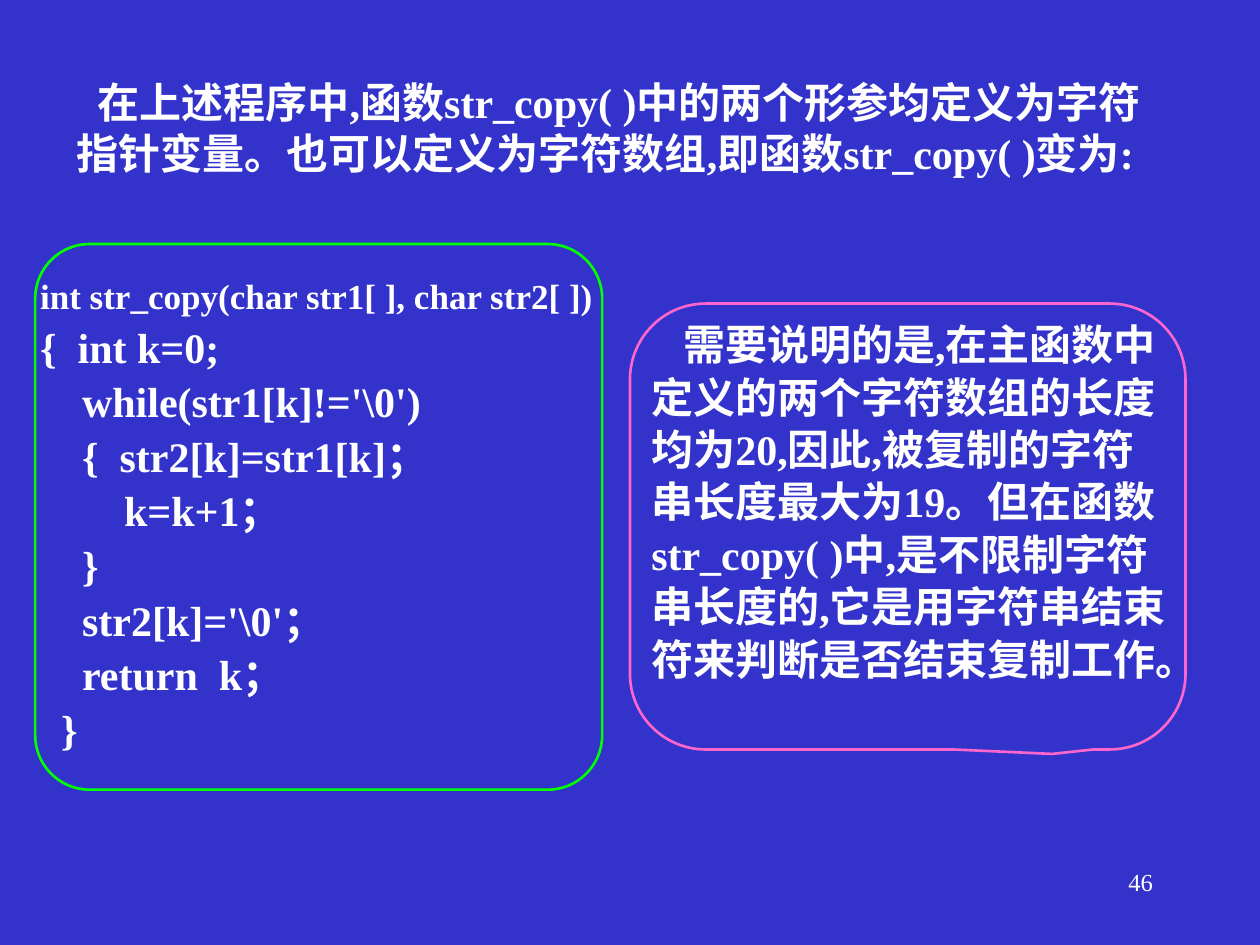
from dataclasses import dataclass

from pptx import Presentation
from pptx.dml.color import RGBColor
from pptx.enum.shapes import MSO_SHAPE as Shape
from pptx.enum.text import MSO_AUTO_SIZE as AutoSize, PP_ALIGN as Align
from pptx.util import Cm, Pt


@dataclass(frozen=True)
class Theme:
    background: RGBColor = RGBColor(0x33, 0x33, 0xCC)
    text: RGBColor = RGBColor(0xFF, 0xFF, 0xFF)
    code_frame: RGBColor = RGBColor(0x00, 0xFF, 0x00)
    note_frame: RGBColor = RGBColor(0xFF, 0x66, 0xCC)
    font: str = "Times New Roman"
    body: Pt = Pt(24)
    signature: Pt = Pt(20)
    page: Pt = Pt(14)
    frame_width: Pt = Pt(1.5)
    paragraph_gap: Pt = Pt(7.2)


theme = Theme()


def add_text(box, lines, bold=True, spacing=None, indent=None, tight=True):
    """Write (text, size) lines into a text box, one paragraph each."""
    left, top, width, height = map(Cm, box)
    frame = slide.shapes.add_textbox(left, top, width, height).text_frame
    frame.word_wrap = True
    if tight:
        frame.auto_size = AutoSize.SHAPE_TO_FIT_TEXT
        frame.margin_left = frame.margin_right = Cm(0.1)
        frame.margin_top = frame.margin_bottom = Cm(0)
    for number, (text, size) in enumerate(lines):
        paragraph = frame.add_paragraph() if number else frame.paragraphs[0]
        if number:
            paragraph.space_before = theme.paragraph_gap
        if spacing:
            paragraph.line_spacing = spacing
        if indent:
            paragraph._p.get_or_add_pPr().set("indent", str(indent))
        run = paragraph.add_run()
        run.text = text
        run.font.name = theme.font
        run.font.size = size
        run.font.bold = bold
        run.font.color.rgb = theme.text
    return frame


def add_frame(kind, box, color, adjustments):
    """Draw an unfilled outline around a block of text."""
    outline = slide.shapes.add_shape(kind, *map(Cm, box))
    outline.shadow.inherit = False
    outline.fill.background()
    outline.line.color.rgb = color
    outline.line.width = theme.frame_width
    for index, value in enumerate(adjustments):
        outline.adjustments[index] = value


deck = Presentation()
deck.slide_width, deck.slide_height = Cm(25.4), Cm(19.05)
slide = deck.slides.add_slide(deck.slide_layouts[6])
slide.background.fill.solid()
slide.background.fill.fore_color.rgb = theme.background

# Introduction
intro = "在上述程序中,函数str_copy( )中的两个形参均定义为字符指针变量。也可以定义为字符数组,即函数str_copy( )变为:"
add_text((1.45, 1.55, 22.02, 2.06), [(intro, theme.body)], indent=Cm(0.42))

# Code listing in its green frame
signature = "int str_copy(char str1[ ], char str2[ ])"
body = r"""{  int k=0;
    while(str1[k]!='\0')
    {  str2[k]=str1[k]；
        k=k+1；
    }
    str2[k]='\0'；
    return  k；
  }"""
code = [(signature, theme.signature)]
code += [(line, theme.body) for line in body.split("\n")]
add_text((0.71, 5.54, 11.63, 10.16), code, spacing=Pt(24))
add_frame(Shape.ROUNDED_RECTANGLE, (0.71, 4.92, 11.43, 11),
          theme.code_frame, [0.1])

# Explanatory note in its pink callout
note = (
    "需要说明的是,在主函数中定义的两个字符数组的长度均为20,因此,被复制的字符串长度最大为19。"
    "但在函数str_copy( )中,是不限制字符串长度的,它是用字符串结束符来判断是否结束复制工作。"
)
add_text((13.03, 6.38, 10.59, 8.74), [(note, theme.body)],
         spacing=Pt(30), indent=Cm(0.64))
add_frame(Shape.ROUNDED_RECTANGULAR_CALLOUT, (12.7, 6.12, 11.2, 8.99),
          theme.note_frame, [0.26, 0.51, 0.17])

# Page number
page = add_text((18.21, 17.35, 5.28, 1.27), [("46", theme.page)],
                bold=False, tight=False)
page.paragraphs[0].alignment = Align.RIGHT

deck.save("out.pptx")
